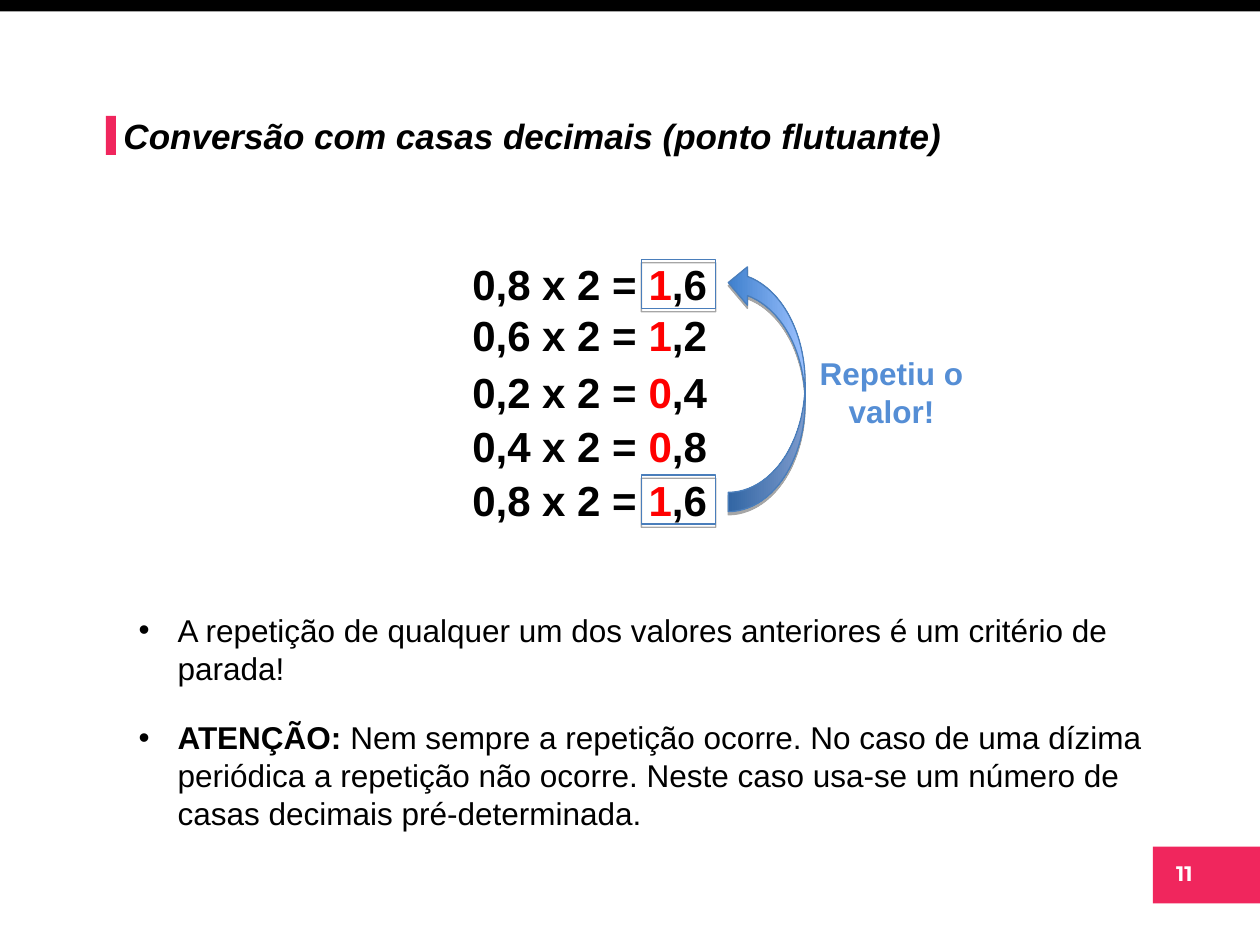
from lxml.etree import SubElement
from pptx import Presentation
from pptx.dml.color import RGBColor
from pptx.enum.shapes import MSO_SHAPE as Preset
from pptx.enum.text import MSO_ANCHOR as Anchor, MSO_AUTO_SIZE as AutoSize, PP_ALIGN as Align
from pptx.oxml.ns import qn
from pptx.util import Inches, Pt

COLORS = {
    "black": "000000",
    "white": "FFFFFF",
    "accent": "F0265D",
    "digit": "FF0000",
    "outline": "4A7EBB",
    "note": "558ED5",
    "arrow_dark": "3F80CD",
    "arrow_light": "9BC1FF",
}

EQUATIONS = [
    (2.0, "0,8 x 2 = ", "1", ",6"),
    (2.41, "0,6 x 2 = ", "1", ",2"),
    (2.86, "0,2 x 2 = ", "0", ",4"),
    (3.29, "0,4 x 2 = ", "0", ",8"),
    (3.72, "0,8 x 2 = ", "1", ",6"),
]

BULLETS = [
    ("", "A repetição de qualquer um dos valores anteriores é um critério de parada!"),
    ("ATENÇÃO:", " Nem sempre a repetição ocorre. No caso de uma dízima periódica "
                 "a repetição não ocorre. Neste caso usa-se um número de casas "
                 "decimais pré-determinada."),
]


def rgb(name):
    """Return the named colour."""
    return RGBColor.from_string(COLORS[name])


def set_font(font, size, color="black", bold=False, face="Arial"):
    """Format a font."""
    font.name, font.size, font.bold = face, Pt(size), bold
    font.color.rgb = rgb(color)


def place(shape, left, top, width, height):
    """Move and size a shape, in inches."""
    shape.left, shape.top = Inches(left), Inches(top)
    shape.width, shape.height = Inches(width), Inches(height)


def add_preset(slide, preset, left, top, width, height):
    """Add a preset shape without shadow."""
    shape = slide.shapes.add_shape(
        preset, Inches(left), Inches(top), Inches(width), Inches(height))
    shape.shadow.inherit = False
    return shape


def add_block(slide, color, *box):
    """Add a solid rectangle without outline."""
    block = add_preset(slide, Preset.RECTANGLE, *box)
    block.fill.solid()
    block.fill.fore_color.rgb = rgb(color)
    block.line.fill.background()


def outline_with_shadow(shape):
    """Give a shape the thin blue outline and a short shadow below it."""
    shape.line.color.rgb = rgb("outline")
    shape.line.width = Pt(0.75)
    effects = shape._element.spPr.find(qn("a:effectLst"))
    shadow = SubElement(effects, qn("a:outerShdw"), blurRad="0",
                        dist=str(Pt(1.8)), dir="5400000", rotWithShape="0")
    shade = SubElement(shadow, qn("a:srgbClr"), val=COLORS["black"])
    SubElement(shade, qn("a:alpha"), val="35000")


def add_highlight(slide, top):
    """Frame a repeated result."""
    frame = add_preset(slide, Preset.RECTANGLE, 5.09, top, 0.59, 0.39)
    frame.fill.background()
    outline_with_shadow(frame)


def add_return_arrow(slide):
    """Add the curved arrow from the last result back to the first."""
    arrow = add_preset(slide, Preset.CURVED_UP_ARROW, 5.1, 2.77, 1.97, 0.61)
    arrow.rotation = 270
    arrow.fill.gradient()
    arrow.fill.gradient_angle = 0
    for stop, color, position in zip(
            arrow.fill.gradient_stops, ("arrow_dark", "arrow_light"), (0, 1)):
        stop.color.rgb = rgb(color)
        stop.position = position
    arrow._element.spPr.find(qn("a:gradFill")).set("rotWithShape", "0")
    outline_with_shadow(arrow)


def add_text(slide, box, text="", wrap=True, align=Align.LEFT, **font):
    """Add a one-paragraph text box and return the paragraph."""
    frame = slide.shapes.add_textbox(*map(Inches, box)).text_frame
    frame.word_wrap = wrap
    paragraph = frame.paragraphs[0]
    paragraph.text = text
    paragraph.alignment = align
    set_font(paragraph.font, **font)
    return paragraph


def add_equation(slide, top, product, digit, decimals):
    """Add a multiplication with its integer digit in red."""
    equation = add_text(slide, (3.65, top, 2.14, 0.5), product, size=24, bold=True)
    integer = equation.add_run()
    integer.text = digit
    integer.font.color.rgb = rgb("digit")
    equation.add_run().text = decimals


def fill_title(title):
    """Write the slide title."""
    place(title, 0.88, 0.86, 7.52, 0.44)
    frame = title.text_frame
    frame.text = "Conversão com casas decimais (ponto flutuante)"
    frame.vertical_anchor = Anchor.TOP
    frame.auto_size = AutoSize.NONE
    heading = frame.paragraphs[0]
    heading.alignment = Align.LEFT
    set_font(heading.font, 20, bold=True)
    heading.font.italic = True


def fill_bullets(body):
    """Write the bulleted remarks."""
    place(body, 1, 4.8, 8.25, 1.85)
    frame = body.text_frame
    frame.auto_size = AutoSize.NONE
    for index, (lead, remark) in enumerate(BULLETS):
        paragraph = frame.paragraphs[0] if index == 0 else frame.add_paragraph()
        properties = paragraph._p.get_or_add_pPr()
        properties.set("marL", str(Inches(0.31)))
        properties.set("indent", str(-Inches(0.31)))
        SubElement(properties, qn("a:buFont"), typeface="Arial")
        SubElement(properties, qn("a:buChar"), char="•")
        paragraph.space_before = Pt(18 if index else 0)
        set_font(paragraph.font, 18)
        if lead:
            emphasis = paragraph.add_run()
            emphasis.text = lead
            emphasis.font.bold = True
        paragraph.add_run().text = remark


def main():
    """Build and save the slide."""
    deck = Presentation()
    deck.slide_width, deck.slide_height = Inches(10), Inches(7.5)
    slide = deck.slides.add_slide(deck.slide_layouts[1])

    add_block(slide, "black", 0, 0, 10, 0.09)
    add_block(slide, "accent", 9.15, 6.72, 0.86, 0.45)
    add_block(slide, "accent", 0.84, 0.92, 0.08, 0.31)
    add_text(slide, (8.87, 6.78, 1.06, 0.33), "11", wrap=False, align=Align.CENTER,
             size=12, color="white", bold=True, face="Montserrat")

    fill_title(slide.shapes.title)
    for equation in EQUATIONS:
        add_equation(slide, *equation)
    add_return_arrow(slide)
    for top in (2.06, 3.77):
        add_highlight(slide, top)
    add_text(slide, (6.22, 2.76, 1.71, 0.7), "Repetiu o valor!",
             align=Align.CENTER, size=18, color="note", bold=True)
    fill_bullets(slide.placeholders[1])

    deck.save("out.pptx")


if __name__ == "__main__":
    main()
